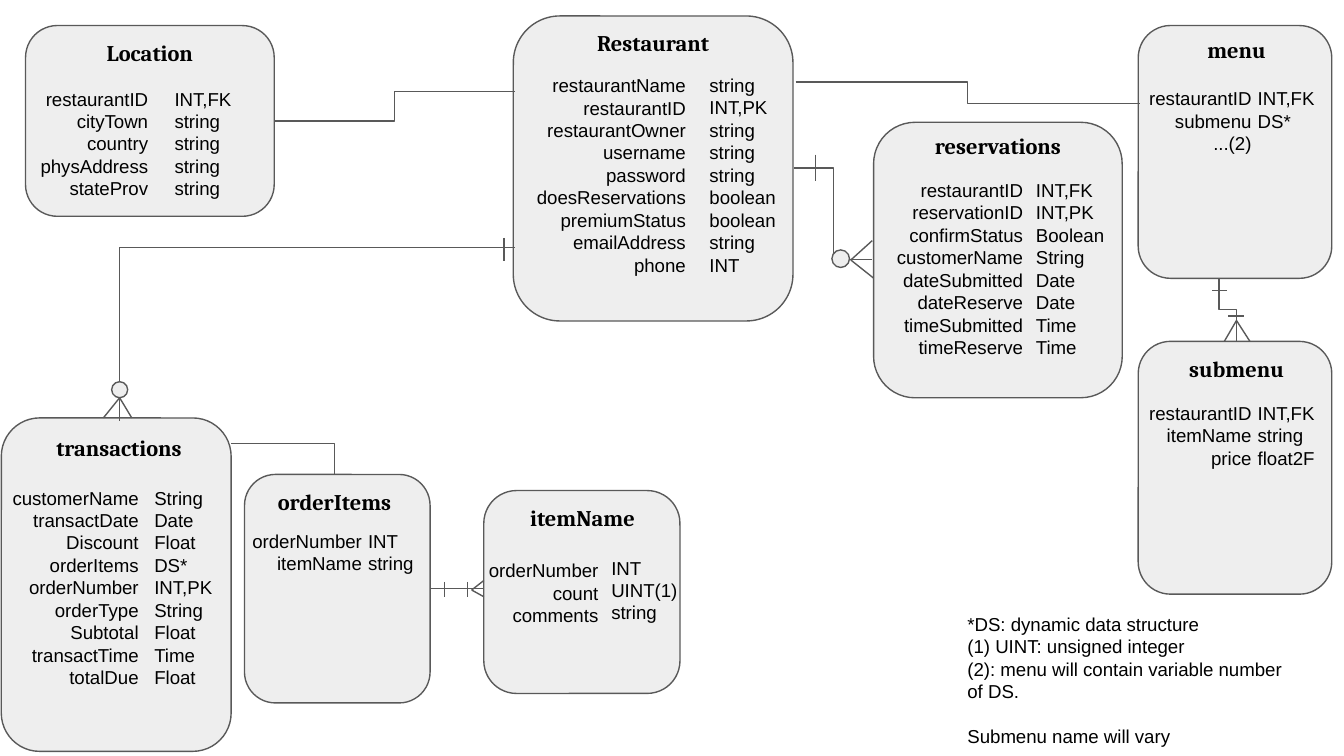
from dataclasses import dataclass
from typing import NamedTuple

from lxml.etree import SubElement
from pptx import Presentation
from pptx.dml.color import RGBColor
from pptx.enum.shapes import MSO_CONNECTOR as Conn, MSO_SHAPE as Shape
from pptx.enum.text import MSO_ANCHOR as Anchor, PP_ALIGN as Align
from pptx.oxml.ns import qn
from pptx.util import Pt


@dataclass(frozen=True)
class Theme:
    fill: RGBColor = RGBColor(0xEE, 0xEE, 0xEE)
    line: RGBColor = RGBColor(0x59, 0x59, 0x59)
    text: RGBColor = RGBColor(0, 0, 0)
    line_width: float = 0.75
    inset: float = 7.2
    title_font: str = "Cambria"
    title_size: float = 12
    body_font: str = "Arial"
    body_size: float = 10


class Box(NamedTuple):
    x: float
    y: float
    w: float
    h: float


class Point(NamedTuple):
    x: float
    y: float


@dataclass(frozen=True)
class Entity:
    title: str
    box: Box
    title_box: Box
    names_box: Box
    types_box: Box
    names: str
    types: str


@dataclass(frozen=True)
class Elbow:
    start: Point
    end: Point
    bends: int = 2
    vertical: bool = False


THEME = Theme()
TITLE = {"name": THEME.title_font, "size": Pt(THEME.title_size), "bold": True}
BODY = {"name": THEME.body_font, "size": Pt(THEME.body_size)}

ENTITIES = [
    Entity("Restaurant", Box(275, 8.6, 149.8, 163.4), Box(275, 8.6, 149.8, 31),
           Box(275, 32.4, 99.4, 115.9), Box(373, 32.4, 53.3, 139),
           "restaurantName restaurantID restaurantOwner username password "
           "doesReservations premiumStatus emailAddress phone",
           "string INT,PK string string string boolean boolean string INT"),
    Entity("Location", Box(13.7, 13.7, 133.2, 102.2), Box(13.7, 13.7, 133.2, 31),
           Box(10.1, 39.6, 76.3, 75.6), Box(86.4, 39.6, 61.2, 73.4),
           "restaurantID cityTown country physAddress stateProv",
           "INT,FK string string string string"),
    Entity("reservations", Box(468, 65.5, 133.2, 147.6), Box(468, 63.4, 133.2, 23),
           Box(470.9, 88.6, 84.2, 108.7), Box(547.9, 88.6, 53.3, 120.2),
           "restaurantID reservationID confirmStatus customerName "
           "dateSubmitted dateReserve timeSubmitted timeReserve",
           "INT,FK INT,PK Boolean String Date Date Time Time"),
    Entity("menu", Box(609.8, 13.7, 103.7, 135.4), Box(610.6, 12.2, 103.7, 27.4),
           Box(601.2, 39.6, 76.3, 98.6), Box(666.7, 39.6, 46.5, 83.5),
           "restaurantID submenu ...(2)", "INT,FK DS*"),
    Entity("submenu", Box(609.8, 182.9, 103.7, 135.4), Box(610.6, 182.9, 103.7, 27.4),
           Box(601.2, 208.1, 76.3, 98.6), Box(666.7, 208.1, 46.5, 83.5),
           "restaurantID itemName price", "INT,FK string float2F"),
    Entity("transactions", Box(0.7, 223.9, 123.1, 178.6), Box(2.2, 225.4, 123.1, 41),
           Box(-5.8, 253.4, 87.1, 147.6), Box(75.6, 253.4, 53.3, 135.4),
           "customerName transactDate Discount orderItems orderNumber "
           "orderType Subtotal transactTime totalDue",
           "String Date Float DS* INT,PK String Float Time Float"),
    Entity("orderItems", Box(131, 254.2, 99.4, 122.4), Box(131, 254.2, 96.5, 31),
           Box(124.6, 276.5, 76.3, 100.8), Box(190.1, 276.5, 39.8, 97.9),
           "orderNumber itemName", "INT string"),
    Entity("itemName", Box(259.2, 262.8, 105.1, 108.7), Box(259.2, 262.8, 105.8, 44.6),
           Box(251.3, 292.3, 76.3, 77.8), Box(320.4, 290.9, 53.3, 82.1),
           "orderNumber count comments", "INT UINT(1) string"),
]

ELBOWS = [
    Elbow(Point(275.8, 49), Point(146.9, 64.8)),
    Elbow(Point(426.2, 43.9), Point(610.6, 55.4)),
    Elbow(Point(425.5, 90), Point(467.3, 139)),
    Elbow(Point(123.8, 237.6), Point(179.3, 254.2), bends=1),
    Elbow(Point(275.8, 132.5), Point(64.1, 225.4), bends=1),
    Elbow(Point(653, 149), Point(662.4, 182.9), vertical=True),
]

# Each foot: the tip and its two toes
CROW_FEET = [
    (Point(662.4, 171.7), Point(655.9, 182.9), Point(669.6, 182.9)),
    (Point(64.1, 213.1), Point(55.4, 223.9), Point(70.6, 223.9)),
    (Point(455.8, 139.3), Point(467.3, 128.9), Point(468, 149)),
    (Point(252.7, 316.1), Point(259.2, 311), Point(259.2, 319.7)),
]
STRAIGHT_LINES = [
    (Point(230.4, 315.4), Point(259.2, 315.4)),
    (Point(270, 127.4), Point(270, 139.7)),
    (Point(437, 82.8), Point(437, 97.2)),
    (Point(649.4, 155.5), Point(657.4, 155.5)),
    (Point(658.1, 169.2), Point(666.7, 169.2)),
    (Point(250.6, 311.8), Point(250.6, 319.7)),
    (Point(238.3, 311.8), Point(238.3, 319.7)),
]
CIRCLES = [Box(445.7, 133.9, 9.4, 9.4), Box(59.8, 204.5, 8.6, 8.6)]

NOTE_BOX = Box(511.2, 321.1, 184.3, 82.1)
NOTES = ["*DS: dynamic data structure", "(1) UINT: unsigned integer",
         "(2): menu will contain variable number of DS.", "Submenu name will vary"]

prs = Presentation()
prs.slide_width, prs.slide_height = Pt(720), Pt(405)
s = prs.slides.add_slide(prs.slide_layouts[6])


def style_line(line) -> None:
    line.color.rgb = THEME.line
    line.width = Pt(THEME.line_width)


def add_box(kind: Shape, box: Box) -> None:
    sp = s.shapes.add_shape(kind, *map(Pt, box))
    sp.shadow.inherit = False
    sp.fill.solid()
    sp.fill.fore_color.rgb = THEME.fill
    style_line(sp.line)


def add_text(box: Box, lines: list[str], font: dict, align: Align = Align.LEFT):
    tf = s.shapes.add_textbox(*map(Pt, box)).text_frame
    frame = {"word_wrap": True, "vertical_anchor": Anchor.TOP}
    frame |= {f"margin_{side}": Pt(THEME.inset) for side in ("left", "top", "right", "bottom")}
    for key, value in frame.items():
        setattr(tf, key, value)
    for i, line in enumerate(lines):
        p = tf.add_paragraph() if i else tf.paragraphs[0]
        p.alignment = align
        r = p.add_run()
        r.text = line
        for key, value in font.items():
            setattr(r.font, key, value)
        r.font.color.rgb = THEME.text
    return tf


def add_line(start: Point, end: Point, kind: Conn = Conn.STRAIGHT):
    c = s.shapes.add_connector(kind, *map(Pt, (*start, *end)))
    style_line(c.line)
    SubElement(c._element.spPr, qn("a:effectLst"))
    return c


def add_elbow(elbow: Elbow) -> None:
    a, b = elbow.start, elbow.end
    if elbow.vertical:
        # Lay the path on its side about its centre, then turn it upright
        mid = Point((a.x + b.x) / 2, (a.y + b.y) / 2)
        w, h = (b.y - a.y) / 2, (b.x - a.x) / 2
        a, b = Point(mid.x + w, mid.y - h), Point(mid.x - w, mid.y + h)
    sp_pr = add_line(a, b, Conn.ELBOW)._element.spPr
    if elbow.vertical:
        sp_pr.find(qn("a:xfrm")).set("rot", str(270 * 60000))
    sp_pr.find(qn("a:prstGeom")).set("prst", f"bentConnector{elbow.bends + 1}")


# Entities
for entity in ENTITIES:
    add_box(Shape.ROUNDED_RECTANGLE, entity.box)
    add_text(entity.title_box, [entity.title], TITLE, Align.CENTER)
    add_text(entity.names_box, entity.names.split(), BODY, Align.RIGHT)
    add_text(entity.types_box, entity.types.split(), BODY)

# Relations and their end marks
for elbow in ELBOWS:
    add_elbow(elbow)
for tip, *toes in CROW_FEET:
    for toe in toes:
        add_line(tip, toe)
for start, end in STRAIGHT_LINES:
    add_line(start, end)
for circle in CIRCLES:
    add_box(Shape.OVAL, circle)

# Notes
notes = add_text(NOTE_BOX, NOTES, BODY)
notes.paragraphs[-1].space_before = Pt(12)

prs.save("out.pptx")
